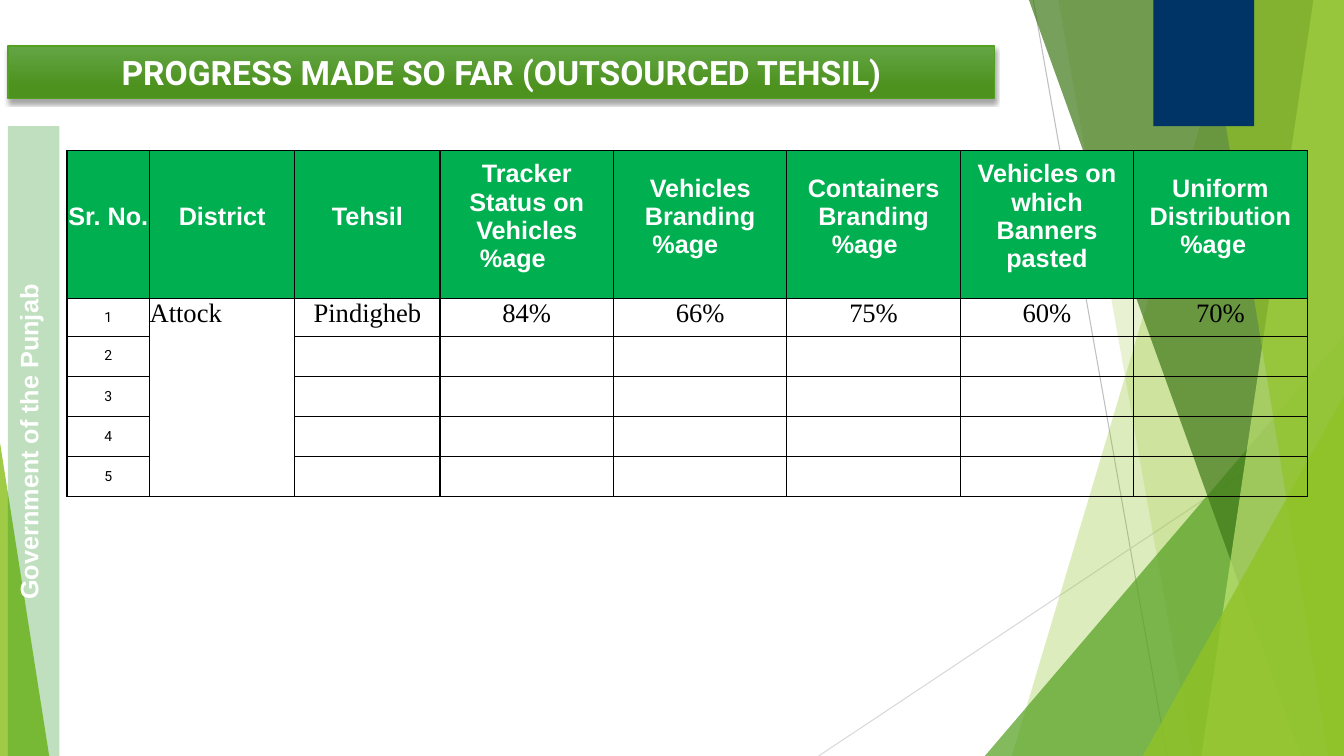
from lxml import etree
from pptx import Presentation
from pptx import util as u
from pptx.dml.color import RGBColor
from pptx.enum import shapes, text
from pptx.oxml import ns

TITLE = "PROGRESS MADE SO FAR (OUTSOURCED TEHSIL)"
SIDE_LABEL = "Government of the Punjab"
HEADERS = [
    (["Sr. No."], 0),
    (["District"], 0),
    (["Tehsil"], 0),
    (["Tracker Status on Vehicles", "%age"], 0.7),
    (["Vehicles Branding", "%age"], 0.75),
    (["Containers Branding", "%age"], 0.45),
    (["Vehicles on which Banners pasted"], 0.38),
    (["Uniform Distribution", "%age"], 0.36),
]
ROWS = [
    ["1", "Attock", "Pindigheb", "84%", "66%", "75%", "60%", "70%"],
    ["2"],
    ["3"],
    ["4"],
    ["5"],
]

THEME = {
    "white": "FFFFFF", "black": "000000", "navy": "003366", "header": "00AF50",
    "side": "008000", "lime": "90C226", "leaf": "54A021", "forest": "3F7819",
    "pale": "C0E474", "line_dark": "BFBFBF", "line_light": "D9D9D9",
    "title_top": "63A545", "title_bottom": "4D921E",
    "title_font": {"name": "Roboto", "size": u.Pt(24), "bold": True},
    "header_font": {"name": "Arial", "size": u.Pt(18), "bold": True},
    "number_font": {"name": "Roboto", "size": u.Pt(10), "bold": False},
    "body_font": {"name": "Times New Roman", "size": u.Pt(19), "bold": False},
}
WIDTH, HEIGHT = 33.87, 19.05
LINES = [
    (26.04, 0, 29.41, HEIGHT, "line_dark"),
    (WIDTH, 10.24, 20.63, HEIGHT, "line_light"),
]
BACK_BANDS = [(31.19, 25.5, "lime", 30), (26.67, 30.05, "lime", 20)]
FRONT_BANDS = [(25.93, 32.79, "forest", 70), (33.1, 30.28, "pale", 70), (30.38, 33.48, "lime", 65)]
BACK_TRIANGLES = [(24.82, 8.46, 9.05, 1, "leaf", 72)]
FRONT_TRIANGLES = [(28.8, 9.98, 5.07, 1, "lime", 80), (0, 11.15, 1.24, 0, "lime", 85)]
PANELS = [(29.07, 0, 2.54, 3.18, "navy", 100), (0.2, 3.18, 1.3, 15.87, "side", 25)]
COLUMN_WIDTHS = [2.08] + [3.66] * 2 + [4.37] * 5
ROW_HEIGHTS = [3.73, 0.94] + [1.01] * 4
NO_MARGINS = {"margin_left": 0, "margin_right": 0, "margin_top": 0, "margin_bottom": 0}

presentation = Presentation()
presentation.slide_width, presentation.slide_height = u.Cm(WIDTH), u.Cm(HEIGHT)
slide = presentation.slides.add_slide(presentation.slide_layouts[6])


def color(name):
    return RGBColor.from_string(THEME[name])


def assign(target, values):
    for name, value in values.items():
        setattr(target, name, value)


def child(parent, tag, **attributes):
    element = etree.SubElement(parent, ns.qn(tag))
    for name, value in attributes.items():
        element.set(name, str(value))
    return element


def paint(shape, fill, opacity):
    shape.shadow.inherit = False
    shape.line.fill.background()
    shape.fill.solid()
    shape.fill.fore_color.rgb = color(fill)
    if opacity < 100:
        child(next(shape.fill._xPr.iter(ns.qn("a:srgbClr"))), "a:alpha", val=opacity * 1000)


def add_box(kind, left, top, width, height):
    return slide.shapes.add_shape(kind, u.Cm(left), u.Cm(top), u.Cm(width), u.Cm(height))


def add_bands(bands):
    for top_x, bottom_x, fill, opacity in bands:
        corners = [(WIDTH, 0), (WIDTH, HEIGHT), (bottom_x, HEIGHT)]
        builder = slide.shapes.build_freeform(u.Cm(top_x), 0)
        builder.add_line_segments([(u.Cm(x), u.Cm(y)) for x, y in corners])
        paint(builder.convert_to_shape(), fill, opacity)


def add_triangles(triangles):
    for left, top, width, apex, fill, opacity in triangles:
        triangle = add_box(shapes.MSO_SHAPE.ISOSCELES_TRIANGLE, left, top, width, HEIGHT - top)
        triangle.adjustments[0] = apex
        paint(triangle, fill, opacity)


def write(paragraph, words, font, fill, align=text.PP_ALIGN.CENTER):
    paragraph.alignment = align
    run = paragraph.add_run()
    run.text = words
    assign(run.font, THEME[font])
    run.font.color.rgb = color(fill)


def add_borders(cell):
    properties = cell._tc.get_or_add_tcPr()
    for index, side in enumerate(("a:lnL", "a:lnR", "a:lnT", "a:lnB")):
        border = child(properties, side, w=u.Pt(1))
        child(child(border, "a:solidFill"), "a:srgbClr", val=THEME["black"])
        properties.insert(index, border)


def fill_header(cell, paragraphs, indent):
    assign(cell, {"vertical_anchor": text.MSO_ANCHOR.MIDDLE, "margin_bottom": u.Cm(0.42)})
    cell.fill.solid()
    cell.fill.fore_color.rgb = color("header")
    for index, words in enumerate(paragraphs):
        frame = cell.text_frame
        paragraph = frame.add_paragraph() if index else frame.paragraphs[0]
        properties = paragraph._p.get_or_add_pPr()
        properties.set("marL", str(0 if index else u.Cm(indent)))
        properties.set("marR", str(u.Cm(indent)))
        write(paragraph, words, "header_font", "white")


def add_progress_table():
    frame = slide.shapes.add_table(
        len(ROW_HEIGHTS), len(COLUMN_WIDTHS), u.Cm(1.69), u.Cm(3.8),
        u.Cm(sum(COLUMN_WIDTHS)), u.Cm(sum(ROW_HEIGHTS)))
    table = frame.table
    assign(table, {"first_row": False, "horz_banding": False})
    for column, width in zip(table.columns, COLUMN_WIDTHS):
        column.width = u.Cm(width)
    for row, height in zip(table.rows, ROW_HEIGHTS):
        row.height = u.Cm(height)
    for cell in table.iter_cells():
        assign(cell, NO_MARGINS)
        cell.fill.background()
    for column, (paragraphs, indent) in enumerate(HEADERS):
        fill_header(table.cell(0, column), paragraphs, indent)
    for row, values in enumerate(ROWS, 1):
        for column, words in enumerate(values):
            cell = table.cell(row, column)
            font = "body_font" if column else "number_font"
            align = text.PP_ALIGN.LEFT if column == 1 else text.PP_ALIGN.CENTER
            write(cell.text_frame.paragraphs[0], words, font, "black", align)
            if column == 0:
                cell.vertical_anchor = text.MSO_ANCHOR.MIDDLE
    for cell in table.iter_cells():
        add_borders(cell)
    table.cell(1, 1).merge(table.cell(len(ROWS), 1))


def add_side_label():
    label = slide.shapes.add_textbox(u.Cm(0.36), u.Cm(7.11), u.Cm(0.79), u.Cm(8))
    frame = label.text_frame
    assign(frame, {**NO_MARGINS, "word_wrap": True})
    frame._txBody.bodyPr.set("vert", "vert270")
    frame.paragraphs[0].line_spacing = u.Pt(20.9)
    write(frame.paragraphs[0], SIDE_LABEL, "header_font", "white", text.PP_ALIGN.LEFT)


def add_title():
    banner = add_box(shapes.MSO_SHAPE.RECTANGLE, 0.2, 1.16, 24.87, 1.32)
    banner.fill.gradient()
    banner.fill.gradient_angle = 270
    stops = [(0, "title_top"), (0.78, "title_bottom")]
    for stop, (position, name) in zip(banner.fill.gradient_stops, stops):
        stop.position = position
        stop.color.rgb = color(name)
    banner.line.color.rgb = color("leaf")
    banner.line.width = u.Pt(1)
    banner.shadow.inherit = False
    effects = banner._element.spPr.find(ns.qn("a:effectLst"))
    shadow = child(effects, "a:outerShdw", blurRad=u.Pt(3), dist=u.Pt(2), dir=5400000, rotWithShape=0)
    child(child(shadow, "a:srgbClr", val=THEME["black"]), "a:alpha", val=35000)
    banner.text_frame.vertical_anchor = text.MSO_ANCHOR.MIDDLE
    write(banner.text_frame.paragraphs[0], TITLE, "title_font", "white")


for *ends, name in LINES:
    connector = slide.shapes.add_connector(shapes.MSO_CONNECTOR.STRAIGHT, *map(u.Cm, ends))
    connector.line.color.rgb = color(name)
    connector.line.width = u.Pt(0.75)
    child(connector._element.spPr, "a:effectLst")
add_bands(BACK_BANDS)
add_triangles(BACK_TRIANGLES)
add_bands(FRONT_BANDS)
add_triangles(FRONT_TRIANGLES)
for *place, name, opacity in PANELS:
    paint(add_box(shapes.MSO_SHAPE.RECTANGLE, *place), name, opacity)
add_side_label()
add_progress_table()
add_title()
presentation.save("out.pptx")
